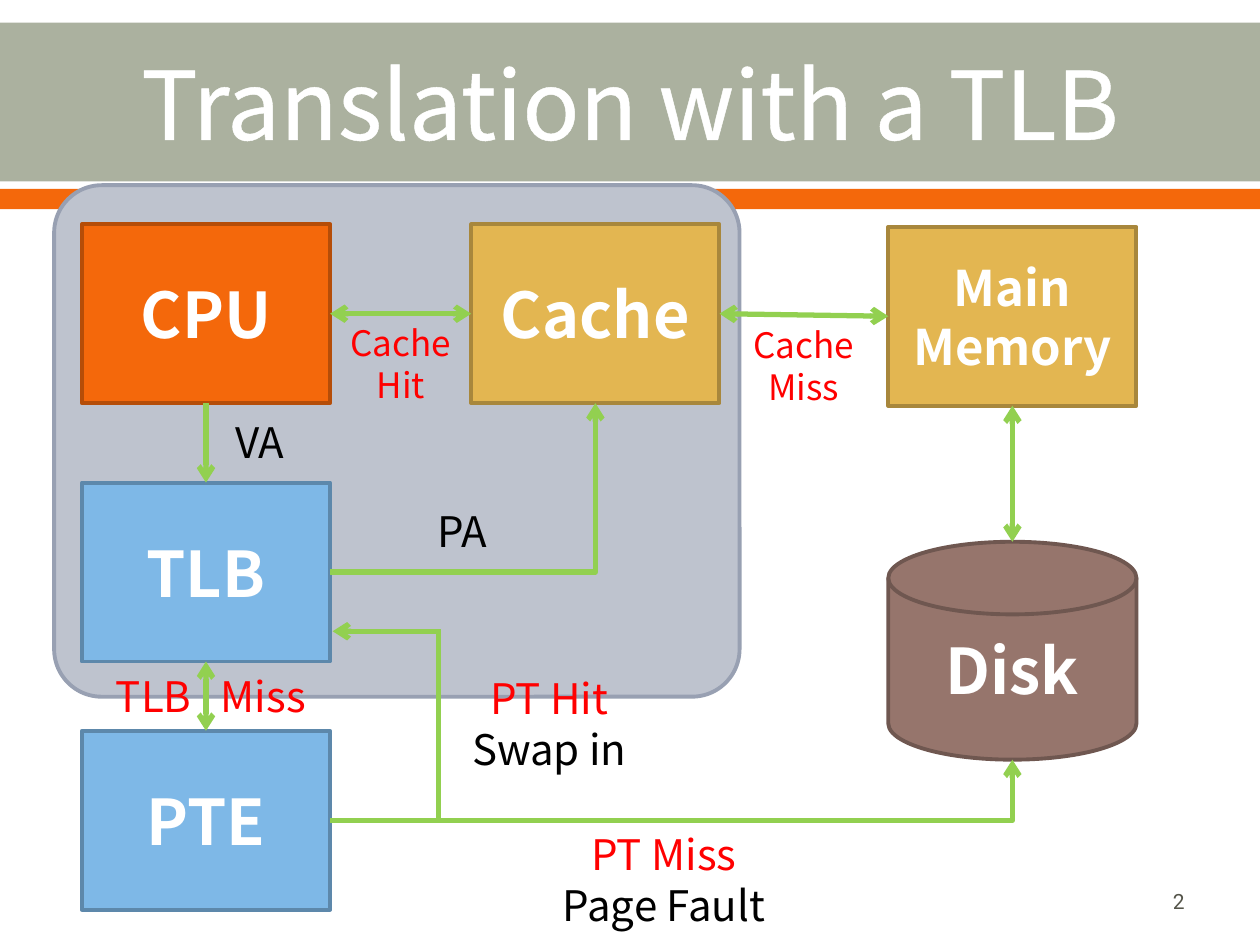
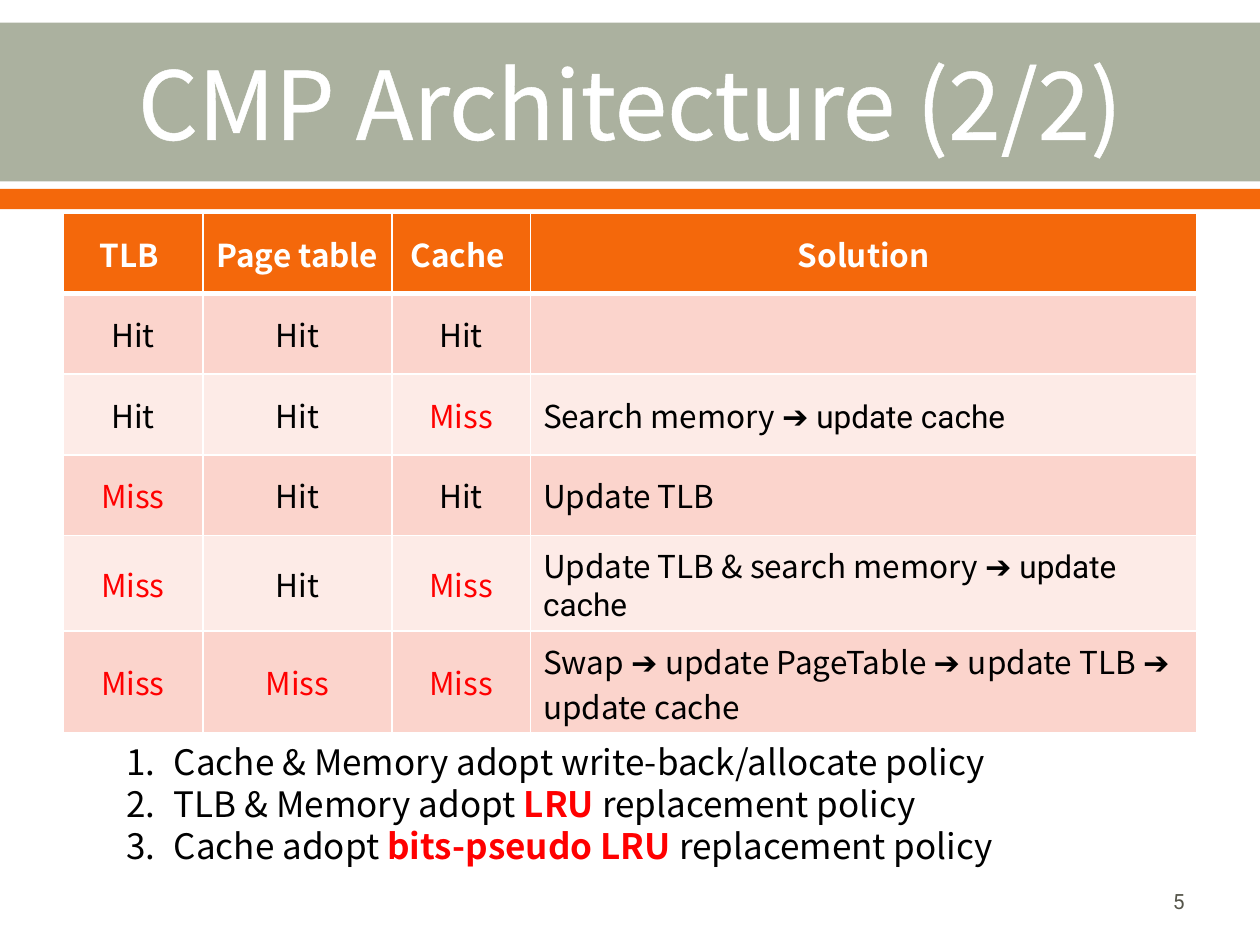
from lxml.etree import SubElement
from pptx import Presentation
from pptx.dml.color import RGBColor
from pptx.enum.shapes import MSO_CONNECTOR as LINK, MSO_SHAPE as SHAPE
from pptx.enum.text import MSO_ANCHOR as ANCHOR, MSO_AUTO_SIZE as FIT, PP_ALIGN as ALIGN
from pptx.oxml.ns import qn
from pptx.util import Inches, Pt

SANS, ROBOTO = "Noto Sans CJK SC", "Roboto"
WHITE, BLACK, RED, GREEN = "FFFFFF", "000000", "FF0000", "92D050"
SAGE, ORANGE, GREY = "ABB19F", "F4680B", "55554A"
PINK, PALE_PINK = "FBD4CC", "FDEBE7"
CPU_COLORS = (ORANGE, "B54D08")
MEMORY_COLORS = ("E3B651", "A8873C")
TABLE_COLORS = ("7EB8E7", "5D88AB")
DISK_COLORS = ("96756C", "6F5750")
CHIP_COLORS = ("BEC3CE", "98A0B2")


def rgb(hex_color):
    return RGBColor.from_string(hex_color)


def add_run(paragraph, text, size, color=BLACK, bold=False, font=SANS):
    run = paragraph.add_run()
    run.text = text
    run.font.size = Pt(size)
    run.font.name = font
    run.font.bold = bold
    run.font.color.rgb = rgb(color)
    return run


def add_stroke(parent, tag, width):
    """Put a white line element first inside a properties element."""
    stroke = SubElement(parent, qn(tag), w=str(Pt(width)))
    SubElement(SubElement(stroke, qn("a:solidFill")), qn("a:srgbClr"), val=WHITE)
    parent.insert(0, stroke)


def add_block(slide, kind, area, fill, outline=None):
    block = slide.shapes.add_shape(kind, *map(Inches, area))
    block.shadow.inherit = False
    block.fill.solid()
    block.fill.fore_color.rgb = rgb(fill)
    if outline:
        block.line.color.rgb = rgb(outline)
        block.line.width = Pt(2.22)
    else:
        block.line.fill.background()
    return block


def add_unit(slide, name, left, top, colors, height=1.42, kind=SHAPE.RECTANGLE, size=36):
    """Draw one hardware unit with its name in the middle."""
    unit = add_block(slide, kind, (left, top, 1.97, height), *colors)
    frame = unit.text_frame
    frame.word_wrap = True
    frame.vertical_anchor = ANCHOR.MIDDLE
    paragraph = frame.paragraphs[0]
    paragraph.alignment = ALIGN.CENTER
    add_run(paragraph, name, size, WHITE, bold=True)
    return unit


def add_label(slide, center, top, width, lines, size=24):
    """Write centred (text, colour) lines around a centre x."""
    height = 0.1 + len(lines) * size / 60
    box = slide.shapes.add_textbox(
        Inches(center - width / 2), Inches(top), Inches(width), Inches(height))
    frame = box.text_frame
    frame.word_wrap = False
    frame.auto_size = FIT.SHAPE_TO_FIT_TEXT
    frame.margin_left = frame.margin_right = 0
    for i, (text, color) in enumerate(lines):
        paragraph = frame.add_paragraph() if i else frame.paragraphs[0]
        paragraph.alignment = ALIGN.CENTER
        add_run(paragraph, text, size, color)


def side(unit, name):
    """Return the midpoint of one side of a unit."""
    middle_x, middle_y = unit.left + unit.width // 2, unit.top + unit.height // 2
    return {
        "top": (middle_x, unit.top),
        "bottom": (middle_x, unit.top + unit.height),
        "left": (unit.left, middle_y),
        "right": (unit.left + unit.width, middle_y),
    }[name]


def add_arrow(slide, start, end, ends=("tailEnd",), kind=LINK.STRAIGHT):
    arrow = slide.shapes.add_connector(kind, *start, *end)
    arrow.line.color.rgb = rgb(GREEN)
    arrow.line.width = Pt(3)
    for tag in ends:
        SubElement(arrow.line._get_or_add_ln(), qn("a:" + tag), type="arrow")
    SubElement(arrow._element.spPr, qn("a:effectLst"))
    return arrow


def add_two_way(slide, start, end):
    add_arrow(slide, start, end, ("headEnd", "tailEnd"))


def add_elbow(slide, source, target, bottom_site):
    """Lead from the right of source to the bottom of target with one corner."""
    end = side(target, "bottom")
    elbow = add_arrow(slide, side(source, "right"), end, kind=LINK.ELBOW)
    elbow._element.spPr.find(qn("a:prstGeom")).set("prst", "bentConnector2")
    elbow.begin_connect(source, 3)
    elbow.end_connect(target, bottom_site)
    elbow.end_x, elbow.end_y = end


def place(shape, left, top, width, height):
    shape.left, shape.top = Inches(left), Inches(top)
    shape.width, shape.height = Inches(width), Inches(height)


def add_slide(deck, layout, title, number):
    slide = deck.slides.add_slide(deck.slide_layouts[layout])
    heading = slide.shapes.title
    place(heading, 0.5, 0.2, 9, 1.22)
    heading.text_frame.vertical_anchor = ANCHOR.MIDDLE
    paragraph = heading.text_frame.paragraphs[0]
    paragraph.alignment = ALIGN.CENTER
    run = add_run(paragraph, title, 54, WHITE)
    add_stroke(run.font._element, "a:ln", 1.1)

    footer = slide.shapes.add_textbox(Inches(7.17), Inches(6.95), Inches(2.33), Inches(0.4))
    footer.text_frame.word_wrap = True
    footer.text_frame.vertical_anchor = ANCHOR.MIDDLE
    paragraph = footer.text_frame.paragraphs[0]
    paragraph.alignment = ALIGN.RIGHT
    add_run(paragraph, number, 12, GREY, font=ROBOTO)
    return slide


def add_master_bands(deck, slide):
    """Draw the title bands and move them to the slide master."""
    tree = deck.slide_master.shapes._spTree
    for top, height, color in ((1.5, 0.16, ORANGE), (0.18, 1.26, SAGE)):
        band = add_block(slide, SHAPE.RECTANGLE, (0, top, 10, height), color)
        tree.insert(2, band._element)


def draw_translation(slide):
    chip = add_block(slide, SHAPE.ROUNDED_RECTANGLE, (0.43, 1.47, 5.44, 4.06), *CHIP_COLORS)
    chip.adjustments[0] = 0.093
    cpu = add_unit(slide, "CPU", 0.65, 1.78, CPU_COLORS)
    cache = add_unit(slide, "Cache", 3.74, 1.78, MEMORY_COLORS)
    tlb = add_unit(slide, "TLB", 0.65, 3.83, TABLE_COLORS)
    memory = add_unit(slide, "Main Memory", 7.05, 1.8, MEMORY_COLORS, size=28)
    pte = add_unit(slide, "PTE", 0.65, 5.8, TABLE_COLORS)
    disk = add_unit(slide, "Disk", 7.05, 4.3, DISK_COLORS, 1.73,
                    SHAPE.FLOWCHART_MAGNETIC_DISK)

    add_arrow(slide, side(cpu, "bottom"), side(tlb, "top"))
    add_two_way(slide, side(tlb, "bottom"), side(pte, "top"))
    add_two_way(slide, side(cpu, "right"), side(cache, "left"))
    add_two_way(slide, side(cache, "right"), side(memory, "left"))
    add_two_way(slide, side(memory, "bottom"), side(disk, "top"))
    add_elbow(slide, pte, disk, 3)
    add_elbow(slide, tlb, cache, 2)
    branch_x, branch_y = Inches(3.48), Inches(5.01)
    add_arrow(slide, (branch_x, side(pte, "right")[1]),
              (branch_x, branch_y - Pt(1.5)), ends=())
    add_arrow(slide, (branch_x, branch_y), (Inches(2.64), branch_y))

    add_label(slide, 2.06, 3.26, 0.64, [("VA", BLACK)])
    add_label(slide, 3.67, 3.96, 0.61, [("PA", BLACK)])
    add_label(slide, 1.22, 5.27, 0.77, [("TLB", RED)])
    add_label(slide, 2.09, 5.27, 0.85, [("Miss", RED)])
    add_label(slide, 5.27, 6.53, 1.83, [("PT Miss", RED), ("Page Fault", BLACK)])
    add_label(slide, 4.36, 5.29, 1.42, [("PT Hit", RED), ("Swap in", BLACK)])
    add_label(slide, 3.18, 2.5, 1.01, [("Cache", RED), ("Hit", RED)], 20)
    add_label(slide, 6.38, 2.52, 1.01, [("Cache", RED), ("Miss", RED)], 20)


def fill_cell(cell, fill, runs, align=ALIGN.CENTER, color=BLACK, bold=False):
    """Fill a cell with (text, font) runs."""
    cell.fill.solid()
    cell.fill.fore_color.rgb = rgb(fill)
    cell.vertical_anchor = ANCHOR.MIDDLE
    paragraph = cell.text_frame.paragraphs[0]
    paragraph.alignment = align
    for text, font in runs:
        add_run(paragraph, text, 18, color, bold, font)


def add_outcome_table(slide):
    headers = ("TLB ", "Page table ", "Cache ", "Solution")
    update_cache = ("➔ update cache", ROBOTO)
    then = ("➔ ", ROBOTO)
    outcomes = (
        ("Hit", "Hit", "Hit", ()),
        ("Hit", "Hit", "Miss", (("Search memory ", SANS), update_cache)),
        ("Miss", "Hit", "Hit", (("Update TLB", SANS),)),
        ("Miss", "Hit", "Miss", (("Update TLB & search memory ", SANS), update_cache)),
        ("Miss", "Miss", "Miss", (
            ("Swap ", SANS), then, ("update PageTable ", SANS), then,
            ("update TLB ", SANS), then, ("update cache", SANS))),
    )
    heights = [0.64] * 4 + [0.76, 0.81]
    table = slide.shapes.add_table(
        len(heights), len(headers),
        Inches(0.5), Inches(1.69), Inches(9), Inches(sum(heights))).table
    for column, width in zip(table.columns, (1.11, 1.5, 1.1, 5.29)):
        column.width = Inches(width)
    for row, height in zip(table.rows, heights):
        row.height = Inches(height)
    for col, header in enumerate(headers):
        cell = table.cell(0, col)
        fill_cell(cell, ORANGE, [(header, SANS)], color=WHITE, bold=True)
        add_stroke(cell._tc.get_or_add_tcPr(), "a:lnB", 3)
    for row, (*states, solution) in enumerate(outcomes, 1):
        fill = PINK if row % 2 else PALE_PINK
        for col, state in enumerate(states):
            fill_cell(table.cell(row, col), fill, [(state, SANS)],
                      color=RED if state == "Miss" else BLACK)
        fill_cell(table.cell(row, 3), fill, solution, ALIGN.LEFT)


def fill_policies(body):
    """Write the numbered policies; each has plain, stressed and plain text."""
    policies = (
        ("Cache & Memory adopt write-back/allocate policy", "", ""),
        ("TLB & Memory adopt ", "LRU", " replacement policy"),
        ("Cache adopt ", "bits-pseudo LRU ", "replacement policy"),
    )
    place(body, 0.9, 5.83, 8.19, 1.11)
    frame = body.text_frame
    frame.auto_size = FIT.NONE
    for i, (start, stressed, rest) in enumerate(policies):
        paragraph = frame.add_paragraph() if i else frame.paragraphs[0]
        paragraph.space_before = Pt(0)
        properties = paragraph._p.get_or_add_pPr()
        properties.set("marL", str(Inches(0.38)))
        properties.set("indent", str(-Inches(0.38)))
        SubElement(properties, qn("a:buFont"), typeface=SANS)
        SubElement(properties, qn("a:buAutoNum"), type="arabicPeriod")
        add_run(paragraph, start, 20)
        if stressed:
            add_run(paragraph, stressed, 20, RED, bold=True)
            add_run(paragraph, rest, 20)


def main():
    deck = Presentation()
    deck.slide_width, deck.slide_height = Inches(10), Inches(7.5)
    translation = add_slide(deck, 5, "Translation with a TLB", "2")
    add_master_bands(deck, translation)
    draw_translation(translation)
    architecture = add_slide(deck, 1, "CMP Architecture (2/2)", "5")
    add_outcome_table(architecture)
    fill_policies(architecture.placeholders[1])
    deck.save("out.pptx")


if __name__ == "__main__":
    main()
